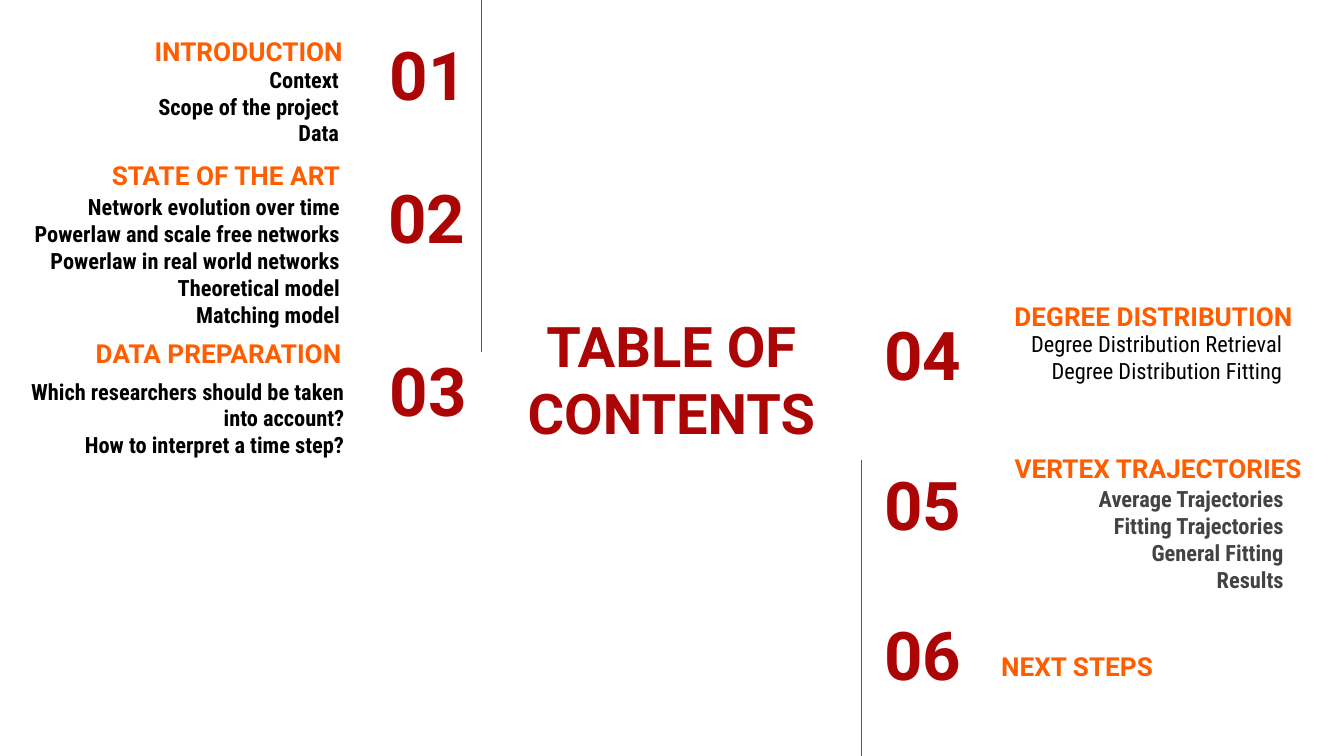
from pptx import Presentation
from pptx.dml.color import RGBColor
from pptx.enum.shapes import MSO_CONNECTOR
from pptx.enum.text import MSO_ANCHOR, PP_ALIGN
from pptx.oxml.ns import qn
from pptx.util import Pt
from lxml import etree

LEFT, CENTER, RIGHT = PP_ALIGN.LEFT, PP_ALIGN.CENTER, PP_ALIGN.RIGHT
TOP, MIDDLE, BOTTOM = MSO_ANCHOR.TOP, MSO_ANCHOR.MIDDLE, MSO_ANCHOR.BOTTOM
STRAIGHT = MSO_CONNECTOR.STRAIGHT
RED, ORANGE, BLACK, GREY, RULE = "AB0505", "FF5D00", "000000", "434343", "595959"
ROW = 45.4  # height of a number or heading box

# Content: boxes are (left, top, width, height)
TITLE = ("TABLE OF CONTENTS", (266.4, 165.6, 186.5, 74.2))
NUMBERS = [
    ("01", (169.9, 16.6, 87.1, ROW), RIGHT),
    ("02", (169.2, 93.6, 87.1, ROW), RIGHT),
    ("03", (169.9, 185.8, 87.1, ROW), RIGHT),
    ("04", (466.6, 167, 84.2, ROW), LEFT),
    ("05", (466.6, 247, 84.2, ROW), LEFT),
    ("06", (466.6, 327.6, 84.2, ROW), LEFT),
]
HEADINGS = [
    ("INTRODUCTION", (35.3, 14.4, 155.5, 28.8), RIGHT),
    ("STATE OF THE ART", (21.6, 64.1, 167.8, ROW), RIGHT),
    ("DATA PREPARATION", (1.4, 159.1, 188.6, ROW), RIGHT),
    ("DEGREE DISTRIBUTION", (536.4, 139.7, 187.2, ROW), LEFT),
    ("VERTEX TRAJECTORIES", (536.4, 220.7, 200.2, ROW), LEFT),
    ("NEXT STEPS", (529.2, 326.9, 181.4, ROW), LEFT),
]
TOPICS = [
    (["Context", "Scope of the project", "Data"],
     (56.9, 28.1, 131.8, 45.4), BLACK, True),
    (["Network evolution over time", "Powerlaw and scale free networks",
      "Powerlaw in real world networks", "Theoretical model", "Matching model"],
     (-34.6, 96.5, 223.9, 45.4), BLACK, True),
    (["Which researchers\u00a0should be taken into account?".replace("\u00a0", " "),
      "How to interpret a time step?"],
     (2.2, 195.1, 189.4, 46.8), BLACK, True),
    (["Degree Distribution Retrieval", "Degree Distribution Fitting"],
     (509.8, 169.9, 184.3, 45.4), BLACK, False),
    (["Average Trajectories", "Fitting Trajectories", "General Fitting", "Results"],
     (536.4, 252.7, 158.4, 45.4), GREY, True),
]
RULES = [(257.8, 0, 188.6), (461.5, 246.2, 405)]  # x, top, bottom


def color(value):
    return RGBColor.from_string(value)


def add_text(page, lines, place, size, ink, align, anchor, font="Roboto", bold=True):
    box = page.shapes.add_textbox(*(Pt(length) for length in place))
    frame = box.text_frame
    frame.word_wrap = True
    frame.vertical_anchor = anchor
    frame.margin_left = frame.margin_right = Pt(7.2)
    frame.margin_top = frame.margin_bottom = Pt(7.2)
    for index, line in enumerate(lines):
        para = frame.add_paragraph() if index else frame.paragraphs[0]
        para.text = line
        para.alignment = align
        para.font.name = font
        para.font.size = Pt(size)
        para.font.bold = bold
        para.font.color.rgb = color(ink)


deck = Presentation()
deck.slide_width, deck.slide_height = Pt(720), Pt(405)
page = deck.slides.add_slide(deck.slide_layouts[6])

# Title, section numbers and section headings
add_text(page, [TITLE[0]], TITLE[1], 30, RED, CENTER, MIDDLE)
for number, place, align in NUMBERS:
    add_text(page, [number], place, 36, RED, align, MIDDLE)
for heading, place, align in HEADINGS:
    add_text(page, [heading], place, 14, ORANGE, align, BOTTOM)

# Topics under each heading
for topics, place, ink, bold in TOPICS:
    add_text(page, topics, place, 12, ink, RIGHT, TOP, "Roboto Condensed", bold)

# Vertical rules beside the numbers
for x, top, bottom in RULES:
    rule = page.shapes.add_connector(STRAIGHT, Pt(x), Pt(top), Pt(x), Pt(bottom))
    rule.line.color.rgb = color(RULE)
    rule.line.width = Pt(0.75)
    etree.SubElement(rule.element.spPr, qn("a:effectLst"))

deck.save("out.pptx")
